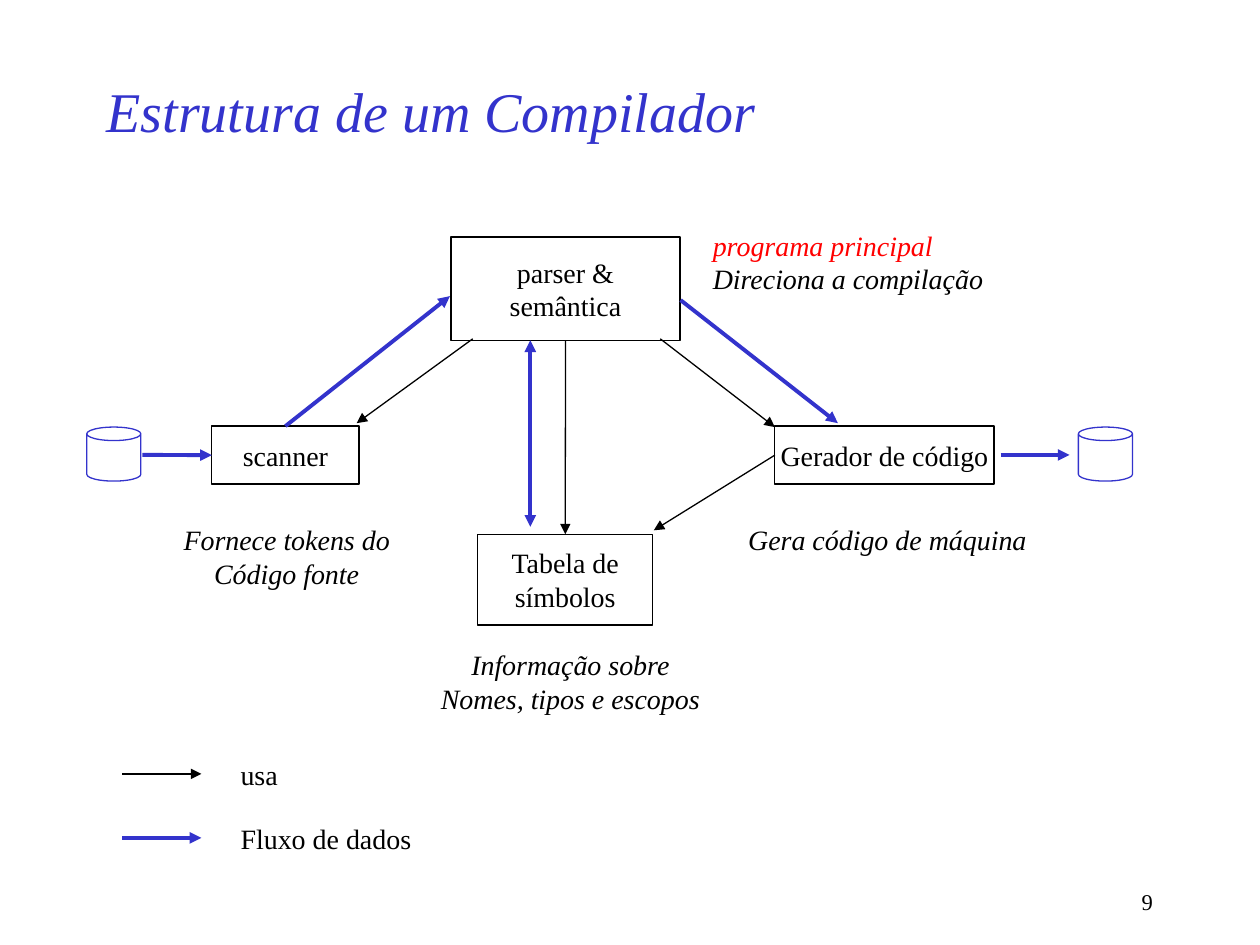
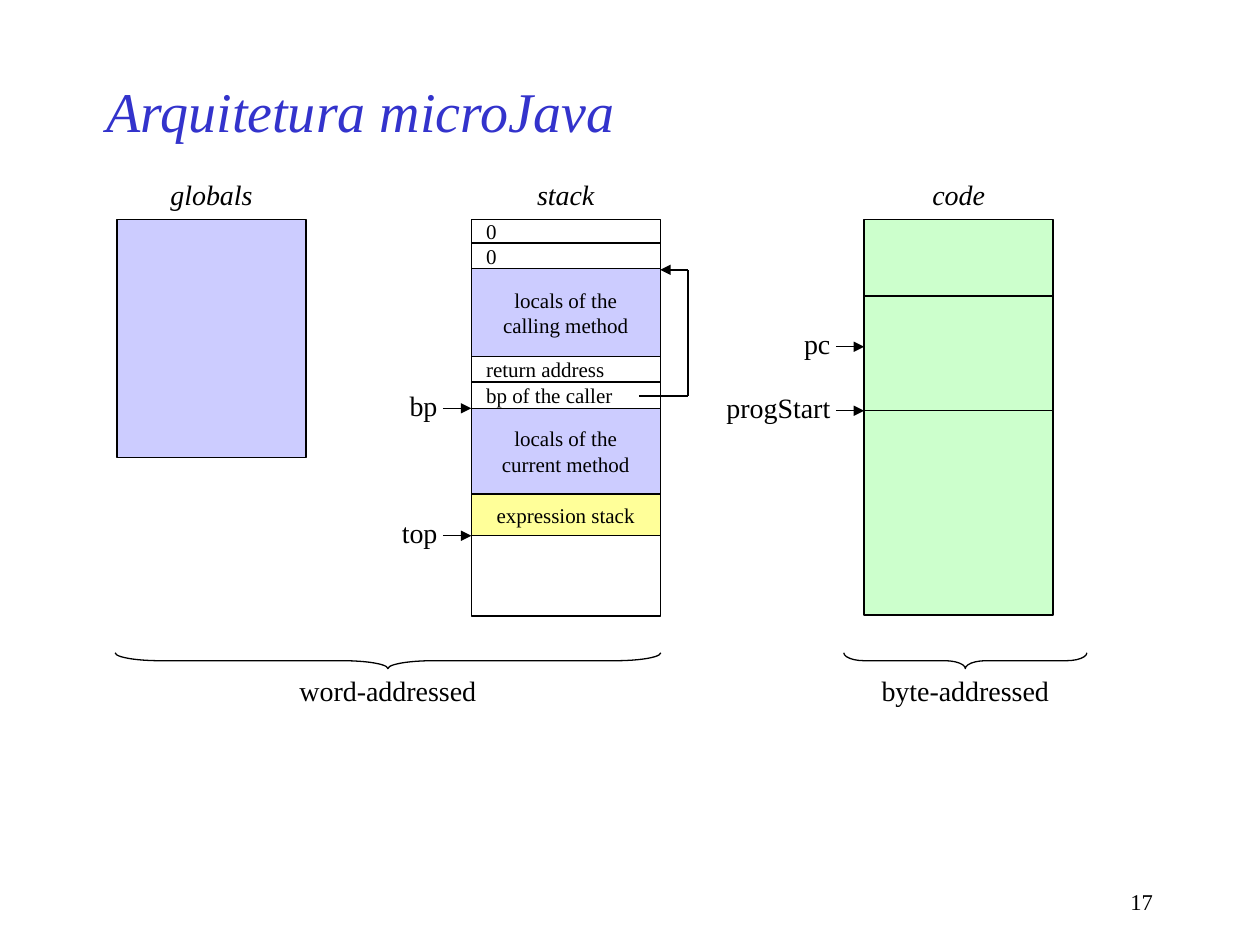
"""Builds two slides on compiler structure and the microJava memory layout."""
from itertools import pairwise

from lxml import etree
from pptx import Presentation
from pptx.dml.color import RGBColor
from pptx.enum.shapes import MSO_CONNECTOR, MSO_SHAPE
from pptx.enum.text import MSO_ANCHOR, MSO_AUTO_SIZE, PP_ALIGN
from pptx.oxml.ns import qn
from pptx.util import Cm, Pt

LEFT, CENTER, RIGHT = PP_ALIGN.LEFT, PP_ALIGN.CENTER, PP_ALIGN.RIGHT
TOP, MIDDLE = MSO_ANCHOR.TOP, MSO_ANCHOR.MIDDLE
RECTANGLE, CAN, BRACE = MSO_SHAPE.RECTANGLE, MSO_SHAPE.CAN, MSO_SHAPE.RIGHT_BRACE
STRAIGHT = MSO_CONNECTOR.STRAIGHT
NO_FIT = MSO_AUTO_SIZE.NONE

FONT = "Times New Roman"
TITLE_ONLY = 5
SITE_TOP, SITE_LEFT, SITE_BOTTOM = 0, 1, 2
COLORS = {
    "black": "000000",
    "blue": "3333CC",
    "red": "FF0000",
    "lilac": "CCCCFF",
    "yellow": "FFFF99",
    "green": "CCFFCC",
}
COLUMN_WIDTH = 3.81
COLUMN_TOP = 4.42
LABEL_HEIGHT = 0.94


def rgb(name):
    """Return the named colour."""
    return RGBColor.from_string(COLORS[name])


def is_point(place):
    """Tell a point from a (shape, site) pair."""
    return isinstance(place[0], (int, float))


class Page:
    """Hold the shared style and the current slide."""

    def __init__(self, deck, title, number):
        """Add a slide with its title and page number."""
        self.slide = deck.slides.add_slide(deck.slide_layouts[TITLE_ONLY])
        self.shapes = self.slide.shapes
        box = self.shapes.title
        places = {"left": 1.9, "top": 1.27, "width": 19.05, "height": 1.9}
        for name, value in places.items():
            setattr(box, name, Cm(value))
        self.set_text(box.text_frame, title, size=32, color="blue", italic=True, anchor=MIDDLE)
        self.text(18.21, 17.78, 5.28, str(number), size=12.9, align=RIGHT)

    def set_text(self, frame, text, size=16, color="black", lead=None, italic=False,
                 align=LEFT, anchor=TOP, inset=0.25):
        """Fill a text frame, one paragraph a line; lead colours the first."""
        settings = {
            "word_wrap": False, "auto_size": NO_FIT, "vertical_anchor": anchor,
            "margin_left": Cm(inset), "margin_right": Cm(inset),
            "margin_top": Cm(min(inset, 0.13)), "margin_bottom": Cm(min(inset, 0.13)),
        }
        for name, value in settings.items():
            setattr(frame, name, value)
        for index, line in enumerate(text.split("\n")):
            para = frame.add_paragraph() if index else frame.paragraphs[0]
            para.alignment = align
            span = para.add_run()
            span.text = line
            formats = {"name": FONT, "size": Pt(size), "italic": italic, "bold": False}
            for name, value in formats.items():
                setattr(span.font, name, value)
            span.font.color.rgb = rgb(lead if lead and index == 0 else color)

    def text(self, x, y, width, text, **formats):
        """Add a text box."""
        height = LABEL_HEIGHT + 0.69 * text.count("\n")
        box = self.shapes.add_textbox(Cm(x), Cm(y), Cm(width), Cm(height))
        self.set_text(box.text_frame, text, **formats)

    def shape(self, kind, x, y, width, height, fill=None, line="black"):
        """Add an outlined preset shape."""
        shape = self.shapes.add_shape(kind, Cm(x), Cm(y), Cm(width), Cm(height))
        shape.shadow.inherit = False
        if fill:
            shape.fill.solid()
            shape.fill.fore_color.rgb = rgb(fill)
        else:
            shape.fill.background()
        shape.line.color.rgb = rgb(line)
        shape.line.width = Pt(0.75)
        return shape

    def node(self, x, y, width, height, text, fill=None, **formats):
        """Add a rectangle with text in it."""
        node = self.shape(RECTANGLE, x, y, width, height, fill)
        if text:
            self.set_text(node.text_frame, text, anchor=MIDDLE, **formats)
        return node

    def line(self, start, end, flow=False, ends=("tailEnd",)):
        """Join two points or (shape, site) pairs with a line or arrow."""
        points = [place if is_point(place) else (0, 0) for place in (start, end)]
        connector = self.shapes.add_connector(
            STRAIGHT, *(Cm(value) for point in points for value in point))
        for place, join in ((start, connector.begin_connect), (end, connector.end_connect)):
            if not is_point(place):
                join(*place)
        connector.line.color.rgb = rgb("blue" if flow else "black")
        connector.line.width = Pt(2.25 if flow else 0.75)
        properties = connector.element.spPr
        for tag in ends:
            etree.SubElement(properties.find(qn("a:ln")), qn(f"a:{tag}"), type="triangle")
        etree.SubElement(properties, qn("a:effectLst"))

    def column(self, x, heading, cells):
        """Stack cells of (bottom, text, fill, alignment) under a heading."""
        self.text(x, 3.45, COLUMN_WIDTH, heading, italic=True, align=CENTER)
        top = COLUMN_TOP
        for bottom, text, fill, align in cells:
            self.node(x, top, COLUMN_WIDTH, bottom - top, text, fill,
                      size=12, align=align, inset=0.3 if align == LEFT else 0)
            top = bottom

    def pointer(self, x, y, name):
        """Point from a register name to a column's left edge."""
        self.text(x - 3.43, y - 0.53, 3, name, align=RIGHT)
        self.line((x - 0.57, y), (x, y))

    def brace(self, center, length, bend, label):
        """Add a brace that opens upwards, with a label below it."""
        thickness = 0.32
        brace = self.shape(BRACE, center - thickness / 2, 13.32 - length / 2, thickness, length)
        brace.rotation = 90
        brace.adjustments[0] = bend
        self.text(center - 2.5, 13.44, 5, label, align=CENTER)


def build_compiler(deck):
    """Draw the parts of a compiler and how they work together."""
    page = Page(deck, "Estrutura de um Compilador", 9)
    centered = {"align": CENTER, "inset": 0}
    parser = page.node(9.09, 4.78, 4.62, 2.08, "parser &\nsemântica", **centered)
    scanner = page.node(4.27, 8.59, 2.97, 1.17, "scanner", **centered)
    table = page.node(9.63, 10.77, 3.53, 1.83, "Tabela de\nsímbolos", **centered)
    generator = page.node(15.62, 8.59, 4.42, 1.17, "Gerador de código", **centered)
    for x in (1.75, 21.74):
        page.shape(CAN, x, 8.61, 1.09, 1.09, line="blue")

    for x, y, width, text in (
        (3.38, 10.41, 4.8, "Fornece tokens do\nCódigo fonte"),
        (8.64, 12.93, 5.72, "Informação sobre\nNomes, tipos e escopos"),
        (14.83, 10.41, 6.12, "Gera código de máquina"),
    ):
        page.text(x, y, width, text, italic=True, align=CENTER)
    page.text(14.12, 4.47, 5.97, "programa principal\nDireciona a compilação",
              lead="red", italic=True)

    for start, end in (
        ((parser, SITE_BOTTOM), (table, SITE_TOP)),
        ((9.53, 6.83), (7.19, 8.53)),
        ((13.31, 6.83), (15.62, 8.61)),
        ((generator, SITE_LEFT), (13.18, 10.69)),
    ):
        page.line(start, end)
    for start, end in (
        ((scanner, SITE_TOP), (9.07, 5.97)),
        ((2.87, 9.17), (scanner, SITE_LEFT)),
        ((20.17, 9.17), (21.56, 9.17)),
        ((13.72, 6.05), (16.89, 8.53)),
    ):
        page.line(start, end, flow=True)
    page.line((10.69, 10.62), (10.69, 6.86), flow=True, ends=("headEnd", "tailEnd"))

    for index, meaning in enumerate(("usa", "Fluxo de dados")):
        y = 15.6 + 1.29 * index
        page.line((2.46, y), (4.06, y), flow=index == 1)
        page.text(4.6, y - 0.46, 3.94, meaning)


def build_architecture(deck):
    """Draw the memory areas of the microJava machine."""
    page = Page(deck, "Arquitetura microJava", 17)
    stack_x, code_x = 9.5, 17.42
    page.column(2.36, "globals", [(9.22, "", "lilac", CENTER)])
    page.column(stack_x, "stack", [
        (4.9, "0", None, LEFT),
        (5.41, "0", None, LEFT),
        (7.19, "locals of the\ncalling method", "lilac", CENTER),
        (7.7, "return address", None, LEFT),
        (8.23, "bp of the caller", None, LEFT),
        (9.96, "locals of the\ncurrent method", "lilac", CENTER),
        (10.8, "expression stack", "yellow", CENTER),
        (12.42, "", None, CENTER),
    ])
    page.column(code_x, "code", [(bottom, "", "green", CENTER) for bottom in (5.97, 8.28, 12.4)])

    for x, y, name in (
        (stack_x, 8.23, "bp"),
        (stack_x, 10.8, "top"),
        (code_x, 6.99, "pc"),
        (code_x, 8.28, "progStart"),
    ):
        page.pointer(x, y, name)

    caller_link = [(12.88, 7.98), (13.87, 7.98), (13.87, 5.44), (stack_x + COLUMN_WIDTH, 5.44)]
    for start, end in pairwise(caller_link):
        page.line(start, end, ends=("tailEnd",) if end == caller_link[-1] else ())

    page.brace(7.82, 11, 2.88, "word-addressed")
    page.brace(19.46, 4.9, 1.3, "byte-addressed")


def main():
    """Build and save the deck."""
    deck = Presentation()
    deck.slide_width, deck.slide_height = Cm(25.4), Cm(19.05)
    build_compiler(deck)
    build_architecture(deck)
    deck.save("out.pptx")


if __name__ == "__main__":
    main()
